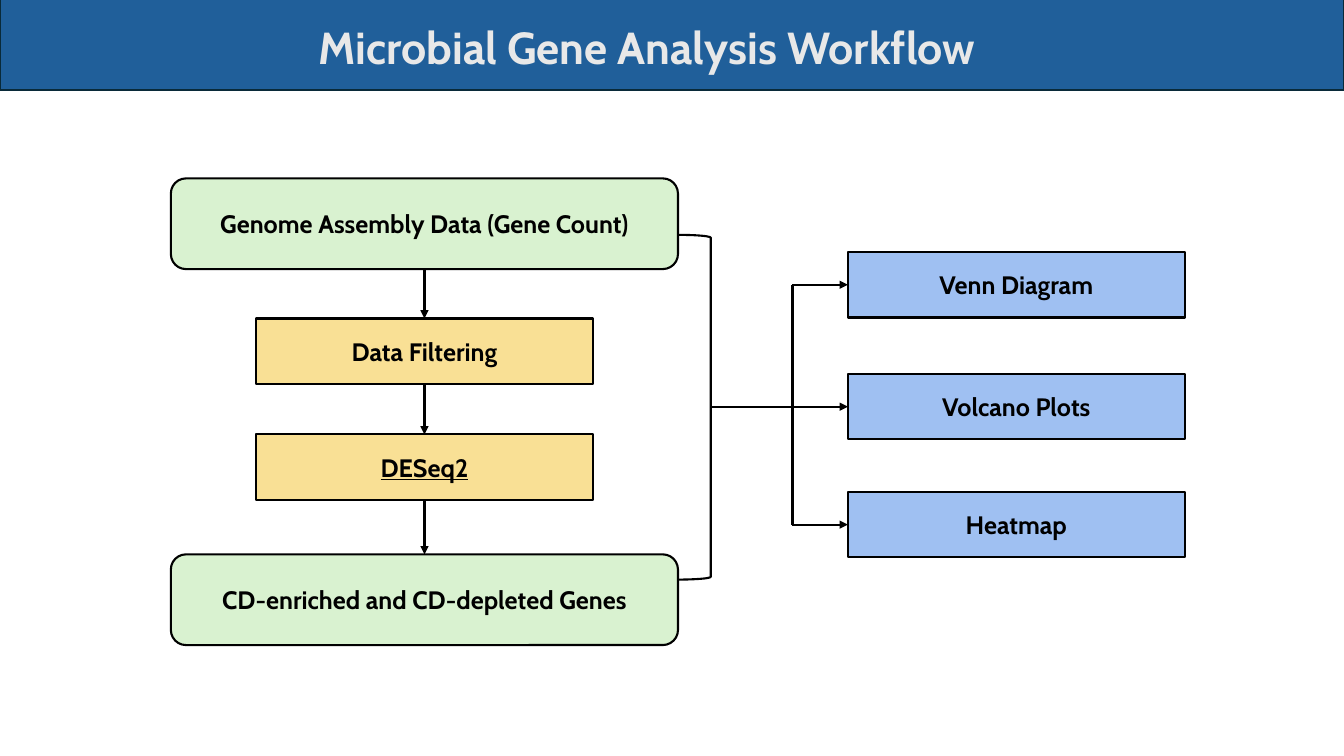
"""Build the microbial gene analysis workflow slide."""
from dataclasses import dataclass

from pptx import Presentation
from pptx.dml.color import RGBColor
from pptx.enum.shapes import MSO_CONNECTOR, MSO_SHAPE as Preset
from pptx.enum.text import MSO_ANCHOR, MSO_AUTO_SIZE, PP_ALIGN
from pptx.oxml.ns import qn
from pptx.util import Inches, Pt
from lxml.etree import SubElement

TOP, LEFT, BOTTOM = 0, 1, 2


@dataclass(frozen=True)
class Theme:
    font: str = "Cabin"
    banner: str = "205F9A"
    banner_line: str = "092A39"
    title_text: str = "E8E8E8"
    data: str = "D9F2D0"
    step: str = "F7D264"
    step_opacity: int = 68
    result: str = "9FC0F2"
    ink: str = "000000"
    title_size: int = 32
    label_size: int = 18
    outline: float = 1.5
    flow: float = 1.75


def write_text(shape, text, *, font, size, color, underline=None):
    frame = shape.text_frame
    frame.word_wrap = True
    frame.auto_size = MSO_AUTO_SIZE.NONE
    frame.vertical_anchor = MSO_ANCHOR.MIDDLE
    paragraph = frame.paragraphs[0]
    paragraph.alignment = PP_ALIGN.CENTER
    run = paragraph.add_run()
    run.text = text
    run.font.name = font
    run.font.size = Pt(size)
    run.font.bold = True
    run.font.underline = underline
    run.font.color.rgb = RGBColor.from_string(color)


class WorkflowSlide:
    def __init__(self, presentation, theme):
        self.theme = theme
        self.slide = presentation.slides.add_slide(presentation.slide_layouts[5])

    def paint(self, shape, fill, line):
        shape.fill.solid()
        shape.fill.fore_color.rgb = RGBColor.from_string(fill)
        self.stroke(shape, line, self.theme.outline)

    def stroke(self, shape, color, width):
        shape.line.color.rgb = RGBColor.from_string(color)
        shape.line.width = Pt(width)

    def banner(self, text, width):
        theme, title = self.theme, self.slide.shapes.title
        title.left, title.top = Inches(0), Inches(-0.01)
        title.width, title.height = Inches(width), Inches(0.9)
        self.paint(title, theme.banner, theme.banner_line)
        write_text(title, text, font=theme.font, size=theme.title_size,
                   color=theme.title_text)
        title.text_frame.margin_right = Inches(0.59)
        title.text_frame.margin_top = Inches(0.09)

    def preset(self, kind, left, top, width, height):
        shape = self.slide.shapes.add_shape(
            kind, Inches(left), Inches(top), Inches(width), Inches(height))
        shape.shadow.inherit = False
        return shape

    def box(self, text, kind, center, top, size, fill, opacity=100, underline=None):
        theme, (width, height) = self.theme, size
        shape = self.preset(kind, center - width / 2, top, width, height)
        self.paint(shape, fill, theme.ink)
        if opacity < 100:
            color = shape.fill._xPr.find(qn("a:solidFill"))[0]
            SubElement(color, qn("a:alpha"), val=str(opacity * 1000))
        write_text(shape, text, font=theme.font, size=theme.label_size,
                   color=theme.ink, underline=underline)
        return shape

    def bracket(self, left, top, width, height):
        shape = self.preset(Preset.RIGHT_BRACKET, left, top, width, height)
        shape.fill.background()
        self.stroke(shape, self.theme.ink, self.theme.outline)

    def connect(self, start, end, width, source=None, target=None, arrow=False):
        line = self.slide.shapes.add_connector(MSO_CONNECTOR.STRAIGHT, *start, *end)
        if source:
            line.begin_connect(*source)
        if target:
            line.end_connect(*target)
        self.stroke(line, self.theme.ink, width)
        properties = line._element.spPr
        if arrow:
            SubElement(properties.find(qn("a:ln")), qn("a:tailEnd"), type="triangle")
        SubElement(properties, qn("a:effectLst"))


def main():
    presentation = Presentation()
    presentation.slide_width, presentation.slide_height = Inches(13.33), Inches(7.5)
    theme = Theme()
    page = WorkflowSlide(presentation, theme)
    page.banner("Microbial Gene Analysis Workflow", 13.33)

    data_size, step_size = (5.03, 0.9), (3.34, 0.65)
    data = dict(kind=Preset.ROUNDED_RECTANGLE, size=data_size, fill=theme.data)
    step = dict(kind=Preset.RECTANGLE, size=step_size, fill=theme.step,
                opacity=theme.step_opacity)
    flow = [page.box(text, center=4.21, top=top, **style) for text, top, style in (
        ("Genome Assembly Data (Gene Count)", 1.77, data),
        ("Data Filtering", 3.16, step),
        ("DESeq2", 4.31, dict(step, underline=True)),
        ("CD-enriched and CD-depleted Genes", 5.5, data))]
    for upper, lower in zip(flow, flow[1:]):
        page.connect((0, 0), (0, 0), theme.flow, (upper, BOTTOM), (lower, TOP), True)

    results = [page.box(text, Preset.RECTANGLE, 10.08, top, step_size, theme.result)
               for text, top in (("Venn Diagram", 2.5), ("Volcano Plots", 3.71),
                                 ("Heatmap", 4.88))]
    page.bracket(6.72, 2.33, 0.33, 3.42)
    trunk = Inches(7.86)
    branches = [(trunk, box.top + box.height // 2) for box in results]
    page.connect((Inches(7.05), branches[1][1]), branches[1], theme.outline)
    page.connect(branches[0], branches[-1], theme.outline)
    for branch, box in zip(branches, results):
        page.connect(branch, branch, theme.outline, target=(box, LEFT), arrow=True)

    presentation.save("out.pptx")


if __name__ == "__main__":
    main()
